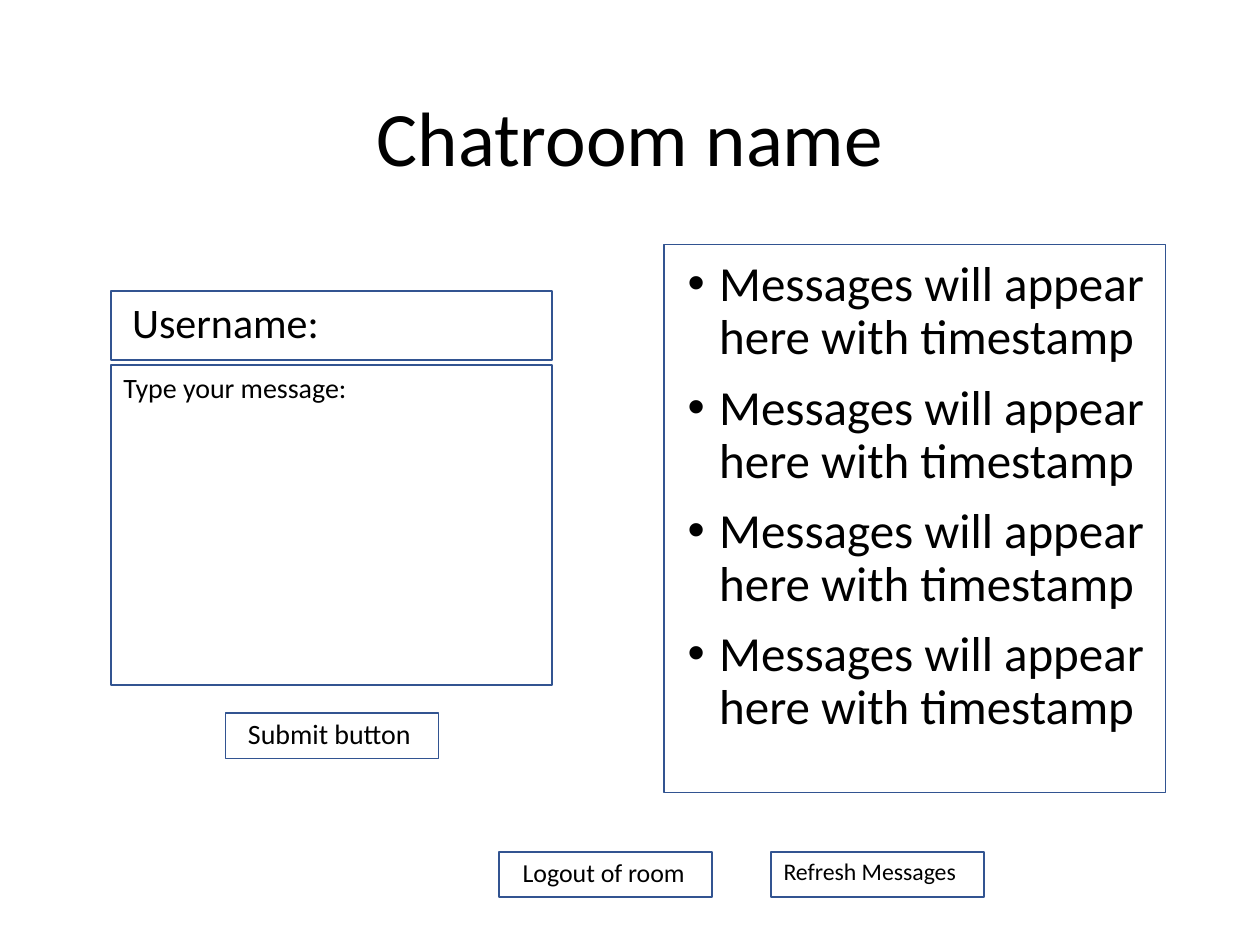
import pptx
import pptx.dml.color
import pptx.enum.shapes
import pptx.enum.text
import pptx.util
import lxml.etree

COLORS = {"text": "000000", "outline": "325491"}
FONT = "Calibri"

presentation = pptx.Presentation()
presentation.slide_width = pptx.util.Inches(10)
presentation.slide_height = pptx.util.Inches(7.5)
slide = presentation.slides.add_slide(presentation.slide_layouts[6])

# The grid has 100 columns and 75 rows.
column = presentation.slide_width / 100
row = presentation.slide_height / 75


def place(left, top, width, height):
    """Turn grid columns and rows into slide lengths."""
    return int(left * column), int(top * row), int(width * column), int(height * row)


def add_text(box, lines, size, line_spacing=0.9, space_before=10):
    shape = slide.shapes.add_textbox(*place(*box))
    frame = shape.text_frame
    frame.word_wrap = True
    frame.text = "\n".join(lines)
    for paragraph in frame.paragraphs:
        paragraph.line_spacing = line_spacing
        paragraph.space_before = pptx.util.Pt(space_before)
        paragraph.font.name = FONT
        paragraph.font.size = pptx.util.Pt(size)
        paragraph.font.color.rgb = pptx.dml.color.RGBColor.from_string(COLORS["text"])
    return frame


# Outlines of the form, the message list and the buttons
left_column, form_width = 8.8, 35
button_width, button_height = 16.9, 3.6
bottom_row = 67.6
outlines = [
    (left_column, 23.1, form_width, 5.5),
    (left_column, 29, form_width, 25.4),
    (52.7, 19.4, 39.8, 43.5),
    (17.9, 56.6, button_width, button_height),
    (39.6, bottom_row, button_width, button_height),
    (61.2, bottom_row, button_width, button_height),
]
for outline in outlines:
    rectangle = slide.shapes.add_shape(
        pptx.enum.shapes.MSO_SHAPE.RECTANGLE, *place(*outline))
    rectangle.shadow.inherit = False
    rectangle.fill.background()
    rectangle.line.color.rgb = pptx.dml.color.RGBColor.from_string(COLORS["outline"])
    rectangle.line.width = pptx.util.Pt(1)

# Title
title = add_text((6.9, 4, 86.2, 14.5), ["Chatroom name"], 44, space_before=0)
title.vertical_anchor = pptx.enum.text.MSO_ANCHOR.MIDDLE
title.paragraphs[0].alignment = pptx.enum.text.PP_ALIGN.CENTER

# Labels of the form and the buttons
labels = [
    ("Username:", (9.5, 23.5, 30.1, 5.2), 24, 0.9),
    ("Type your message:", (left_column, 29.2, 30.1, 5.4), 16, 0.9),
    ("Submit button", (18.7, 56.7, 15.3, 4.4), 16, 0.9),
    ("Logout of room", (40.5, 67.8, 15.3, 4.4), 14.8, 0.9),
    ("Refresh Messages", (61.2, 67.9, button_width, 4.4), 13.6, 0.8),
]
for text, box, size, line_spacing in labels:
    add_text(box, [text], size, line_spacing)

# Bulleted message list
messages = add_text(
    (53.6, 20.1, 38.9, 47.6), ["Messages will appear here with timestamp"] * 4, 28)
indent = pptx.util.Inches(0.25)
for paragraph in messages.paragraphs:
    properties = paragraph._p.get_or_add_pPr()
    properties.set("marL", str(indent))
    properties.set("indent", str(-indent))
    for tag, name, value in (("a:buFont", "typeface", "Arial"), ("a:buChar", "char", "•")):
        lxml.etree.SubElement(properties, pptx.oxml.ns.qn(tag)).set(name, value)

presentation.save("out.pptx")
